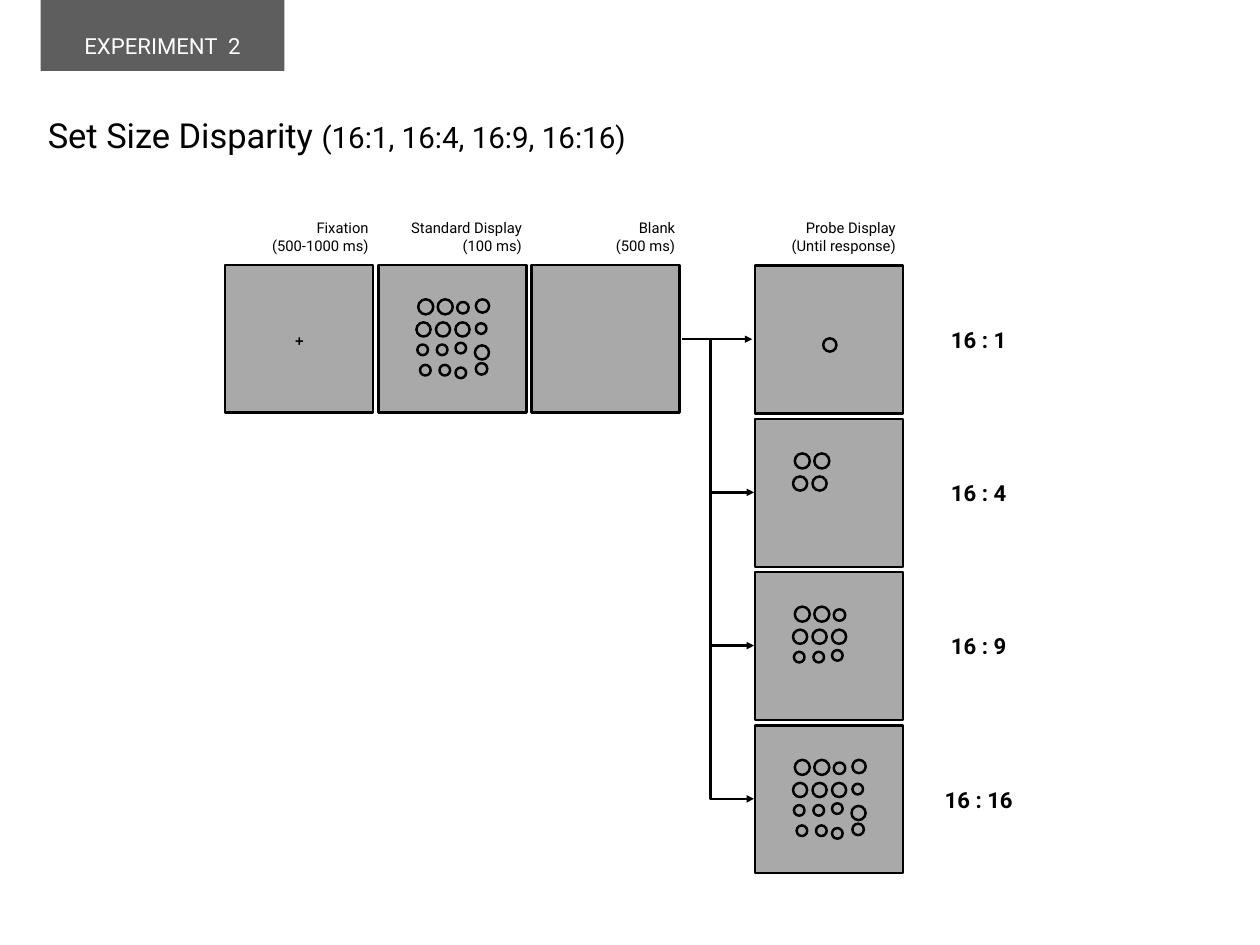
from lxml.etree import SubElement
from pptx import Presentation
from pptx.dml.color import RGBColor
from pptx.enum.shapes import MSO_CONNECTOR as CONNECTOR, MSO_SHAPE as SHAPE
from pptx.enum.text import MSO_ANCHOR as ANCHOR, PP_ALIGN as ALIGN
from pptx.oxml.ns import qn
from pptx.util import Inches, Pt

SLIDE_W, SLIDE_H = 14.22, 10.67
BLACK, WHITE, PANEL_GRAY, TAB_GRAY = "000000", "FFFFFF", "A9A9A9", "5E5E5E"

# Grid of display panels
PANEL, PITCH = 1.67, 1.73
SEQUENCE_LEFT, SEQUENCE_TOP = 2.54, 2.99
PROBE_LEFT, PROBE_TOP = 8.52, 3.0
LABEL_TOP, LABEL_W, LABEL_H = 2.43, 1.62, 0.5
RATIO_LEFT, RATIO_W, RATIO_H = 10.29, 1.51, 0.71
TRUNK_X, ARROW_Y = 8.02, 3.83

# Circles by row: left and top within the panel, diameter
CIRCLE_ROWS = [
    [(0.45, 0.39, 0.17), (0.67, 0.39, 0.17), (0.89, 0.42, 0.13), (1.1, 0.39, 0.15)],
    [(0.43, 0.65, 0.16), (0.65, 0.65, 0.16), (0.87, 0.65, 0.16), (1.1, 0.66, 0.12)],
    [(0.44, 0.9, 0.12), (0.66, 0.9, 0.12), (0.87, 0.88, 0.12), (1.09, 0.91, 0.16)],
    [(0.47, 1.13, 0.12), (0.69, 1.13, 0.12), (0.87, 1.16, 0.12), (1.1, 1.11, 0.13)],
]
SINGLE_CIRCLE = [(0.77, 0.82, 0.15)]

SEQUENCE_LABELS = ["Fixation\n(500-1000 ms)", "Standard Display\n(100 ms)", "Blank\n(500 ms)"]
PROBE_LABEL = "Probe Display\n(Until response)"


def rgb(hex_color):
    return RGBColor.from_string(hex_color)


def inches(*lengths):
    return [Inches(length) for length in lengths]


def circle_block(side):
    """The upper left side-by-side block of the full array."""
    return [circle for row in CIRCLE_ROWS[:side] for circle in row[:side]]


def format_text(frame, size, align, color=BLACK, font="Roboto", bold=False,
                anchor=ANCHOR.MIDDLE, inset=0.06):
    frame.word_wrap = True
    frame.vertical_anchor = anchor
    frame.margin_left = frame.margin_right = Inches(inset)
    frame.margin_top = frame.margin_bottom = Inches(inset)
    for paragraph in frame.paragraphs:
        paragraph.alignment = align
        for run in paragraph.runs:
            run.font.size, run.font.name, run.font.bold = Pt(size), font, bold
            run.font.color.rgb = rgb(color)


def add_text(slide, text, box, size, align, **style):
    frame = slide.shapes.add_textbox(*inches(*box)).text_frame
    frame.text = text
    format_text(frame, size, align, **style)


def add_outlined(slide, kind, left, top, size):
    outlined = slide.shapes.add_shape(kind, *inches(left, top, size, size))
    outlined.shadow.inherit = False
    outlined.fill.solid()
    outlined.fill.fore_color.rgb = rgb(PANEL_GRAY)
    outlined.line.color.rgb = rgb(BLACK)
    outlined.line.width = Pt(2)


def add_display(slide, left, top, circles=()):
    add_outlined(slide, SHAPE.RECTANGLE, left, top, PANEL)
    for dx, dy, diameter in circles:
        add_outlined(slide, SHAPE.OVAL, left + dx, top + dy, diameter)


def add_label(slide, text, left):
    add_text(slide, text, (left, LABEL_TOP, LABEL_W, LABEL_H), 12, ALIGN.RIGHT,
             anchor=ANCHOR.BOTTOM)


def style_arrow(arrow):
    arrow.line.color.rgb = rgb(BLACK)
    arrow.line.width = Pt(2)
    SubElement(arrow.line._get_or_add_ln(), qn("a:tailEnd"), type="triangle")


def add_main_arrow(slide):
    arrow = slide.shapes.add_connector(
        CONNECTOR.STRAIGHT, *inches(7.7, ARROW_Y, 8.49, ARROW_Y))
    style_arrow(arrow)
    SubElement(arrow._element.spPr, qn("a:effectLst"))


def add_branch(slide, start_y, end_y):
    builder = slide.shapes.build_freeform(*inches(TRUNK_X, start_y))
    corner, tip = inches(TRUNK_X, end_y), inches(PROBE_LEFT - 0.01, end_y)
    builder.add_line_segments([corner, tip], close=False)
    branch = builder.convert_to_shape()
    branch.shadow.inherit = False
    branch.fill.background()
    style_arrow(branch)


def add_experiment_tab(slide):
    tab = slide.shapes.add_shape(SHAPE.RECTANGLE, *inches(0.46, 0, 2.75, 0.8))
    tab.shadow.inherit = False
    tab.fill.solid()
    tab.fill.fore_color.rgb = rgb(TAB_GRAY)
    tab.line.fill.background()
    tab.text_frame.text = "EXPERIMENT  2"
    format_text(tab.text_frame, 18, ALIGN.CENTER, color=WHITE)
    tab.text_frame.margin_top = Inches(0.28)


def set_title(slide):
    title = slide.shapes.title
    title.left, title.top, title.width, title.height = inches(
        0.46, 0.8, SLIDE_W - 2 * 0.46, 1.34)
    heading = title.text_frame.paragraphs[0]
    heading.text = "Set Size Disparity "
    heading.line_spacing = 1.2
    ratios = heading.add_run()
    ratios.text = "(16:1, 16:4, 16:9, 16:16)"
    format_text(title.text_frame, 28, ALIGN.LEFT, inset=0.08)
    ratios.font.size = Pt(24)


def main():
    deck = Presentation()
    deck.slide_width, deck.slide_height = inches(SLIDE_W, SLIDE_H)
    slide = deck.slides.add_slide(deck.slide_layouts[5])
    set_title(slide)
    add_experiment_tab(slide)

    # Trial sequence: fixation, standard display, blank
    sequence_circles = [[], circle_block(4), []]
    for column, (label, circles) in enumerate(zip(SEQUENCE_LABELS, sequence_circles)):
        left = SEQUENCE_LEFT + column * PITCH
        add_label(slide, label, left + 0.06)
        add_display(slide, left, SEQUENCE_TOP, circles)
    add_text(slide, "+", (3.27, 3.68, 0.21, 0.33), 12, ALIGN.CENTER,
             font="Arial", bold=True)

    # Probe displays with their set size ratios
    add_label(slide, PROBE_LABEL, PROBE_LEFT + 0.03)
    probes = [SINGLE_CIRCLE] + [circle_block(side) for side in (2, 3, 4)]
    for row, circles in enumerate(probes):
        drop = row * PITCH
        add_display(slide, PROBE_LEFT, PROBE_TOP + drop, circles)
        add_text(slide, f"16 : {len(circles)}",
                 (RATIO_LEFT, 3.48 + drop, RATIO_W, RATIO_H), 18, ALIGN.CENTER,
                 bold=True, inset=0.04)

    # Arrows from the blank to each probe
    add_main_arrow(slide)
    for row in range(1, len(probes)):
        branch_y = ARROW_Y + row * PITCH
        add_branch(slide, branch_y - PITCH, branch_y)

    deck.save("out.pptx")


if __name__ == "__main__":
    main()
